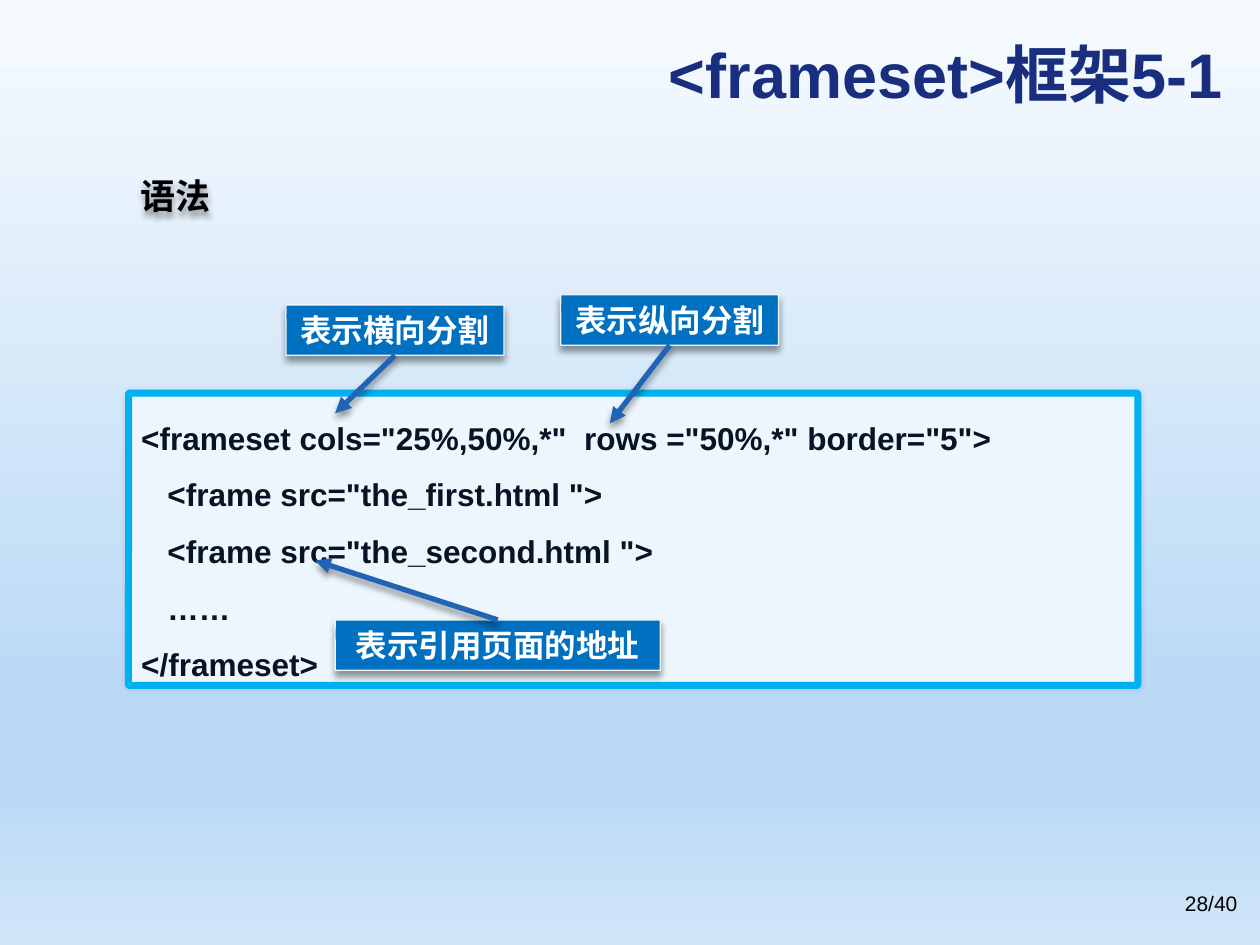
from lxml import etree
from pptx import Presentation
from pptx.dml.color import RGBColor
from pptx.enum import shapes, text
from pptx.oxml import ns, parse_xml
from pptx.util import Inches, Pt

COLORS = {
    "title": "1A2E7F", "black": "000000", "white": "FFFFFF",
    "code": "071424", "panel": "EDF5FD", "panel_line": "00B0F0",
    "callout": "0070C0", "callout_line": "F2F2F2", "arrow": "2163B4",
}
BACKGROUND_STOPS = [(0, "F7FBFE"), (74, "BAD9F5"), (83, "BAD9F5"), (100, "D1E5F8")]
CJK_FONT = "Noto Sans CJK SC"
CODE_LINES = [
    '<frameset cols="25%,50%,*"  rows ="50%,*" border="5">',
    '   <frame src="the_first.html ">',
    '   <frame src="the_second.html ">',
    "   ……",
    "</frameset>",
]
# Label, box, arrow start edge (0 top, 1 bottom), arrow target
CALLOUTS = [
    ("表示横向分割", (2.27, 2.42, 1.73, 0.4), 1, (2.66, 3.28)),
    ("表示纵向分割", (4.45, 2.34, 1.73, 0.4), 1, (4.84, 3.36)),
    ("表示引用页面的地址", (2.66, 4.92, 2.58, 0.4), 0, (2.5, 4.45)),
]


def rgb(name):
    return RGBColor.from_string(COLORS[name])


def inches(values):
    return [Inches(value) for value in values]


def add_shadow(shape, opacity=40, blur=4, distance=3, angle=90):
    """Add an outer shadow; call after fill and line are set."""
    effects = etree.SubElement(shape._element.spPr, ns.qn("a:effectLst"))
    shadow = etree.SubElement(
        effects, ns.qn("a:outerShdw"), blurRad=str(Pt(blur)),
        dist=str(Pt(distance)), dir=str(angle * 60000), rotWithShape="0")
    color = etree.SubElement(shadow, ns.qn("a:srgbClr"), val=COLORS["black"])
    etree.SubElement(color, ns.qn("a:alpha"), val=str(opacity * 1000))


def write_text(shape, lines, size, color, align, anchor, bold=True,
               font_name="Arial", wrap=True, spacing=None):
    frame = shape.text_frame
    frame.text = "\n".join(lines)
    frame.word_wrap = wrap
    frame.auto_size = text.MSO_AUTO_SIZE.NONE
    frame.vertical_anchor = anchor
    for paragraph in frame.paragraphs:
        paragraph.alignment = align
        if spacing:
            paragraph.line_spacing = spacing
        font = paragraph.font
        font.size, font.bold, font.name = Pt(size), bold, font_name
        font.color.rgb = rgb(color)
        defaults = paragraph._p.pPr.find(ns.qn("a:defRPr"))
        etree.SubElement(defaults, ns.qn("a:ea"), typeface=CJK_FONT)


def style_box(shape, fill, line, width):
    shape.fill.solid()
    shape.fill.fore_color.rgb = rgb(fill)
    shape.line.color.rgb = rgb(line)
    shape.line.width = Pt(width)


def set_background(slide):
    stops = "".join(
        f'<a:gs pos="{position * 1000}"><a:srgbClr val="{color}"/></a:gs>'
        for position, color in BACKGROUND_STOPS)
    background = parse_xml(
        f'<p:bg {ns.nsdecls("p", "a")}><p:bgPr><a:gradFill rotWithShape="1">'
        f'<a:gsLst>{stops}</a:gsLst><a:lin ang="5400000" scaled="0"/>'
        '</a:gradFill><a:effectLst/></p:bgPr></p:bg>')
    slide._element.cSld.insert(0, background)


def place_title(slide, box):
    title = slide.shapes.title
    title.left, title.top, title.width, title.height = inches(box)
    write_text(title, ["<frameset>框架5-1"], 36, "title",
               text.PP_ALIGN.RIGHT, text.MSO_ANCHOR.MIDDLE)


def add_heading(slide, box):
    heading = slide.shapes.add_textbox(*inches(box))
    write_text(heading, ["语法"], 20, "black", text.PP_ALIGN.LEFT,
               text.MSO_ANCHOR.MIDDLE, font_name=CJK_FONT, wrap=False)
    add_shadow(heading)


def add_code_panel(slide, box):
    panel = slide.shapes.add_shape(
        shapes.MSO_SHAPE.ROUNDED_RECTANGLE, *inches(box))
    panel.adjustments[0] = 0.004
    style_box(panel, "panel", "panel_line", 4)
    add_shadow(panel, opacity=10, blur=3, distance=0, angle=0)
    write_text(panel, CODE_LINES, 18, "code", text.PP_ALIGN.LEFT,
               text.MSO_ANCHOR.TOP, spacing=1.5)


def add_callout(slide, label, box, edge, target):
    callout = slide.shapes.add_shape(
        shapes.MSO_SHAPE.RECTANGULAR_CALLOUT, *inches(box))
    callout.adjustments[0], callout.adjustments[1] = -0.501, -0.314
    style_box(callout, "callout", "callout_line", 0.75)
    add_shadow(callout)
    write_text(callout, [label], 18, "white", text.PP_ALIGN.CENTER,
               text.MSO_ANCHOR.MIDDLE, wrap=False)
    callout.text_frame.margin_top = callout.text_frame.margin_bottom = 0

    # Arrow from the middle of the chosen edge
    left, top, width, height = box
    start = (left + width / 2, top + edge * height)
    arrow = slide.shapes.add_connector(
        shapes.MSO_CONNECTOR.STRAIGHT, *inches(start + target))
    arrow.line.color.rgb = rgb("arrow")
    arrow.line.width = Pt(3)
    etree.SubElement(arrow.line._get_or_add_ln(), ns.qn("a:tailEnd"),
                     type="triangle")
    add_shadow(arrow)


def add_page_number(slide, box):
    number = slide.shapes.add_textbox(*inches(box))
    write_text(number, ["28/40"], 12, "black", text.PP_ALIGN.RIGHT,
               text.MSO_ANCHOR.TOP, bold=False)


def main():
    presentation = Presentation()
    presentation.slide_width, presentation.slide_height = Inches(10), Inches(7.5)
    slide = presentation.slides.add_slide(presentation.slide_layouts[5])
    set_background(slide)
    place_title(slide, (0.8, 0.09, 9, 0.98))
    add_code_panel(slide, (1.02, 3.12, 8.01, 2.32))
    add_heading(slide, (1.02, 1.33, 0.77, 0.44))
    for callout in CALLOUTS:
        add_callout(slide, *callout)
    add_page_number(slide, (7.59, 7.02, 2.33, 0.4))
    presentation.save("out.pptx")


if __name__ == "__main__":
    main()
